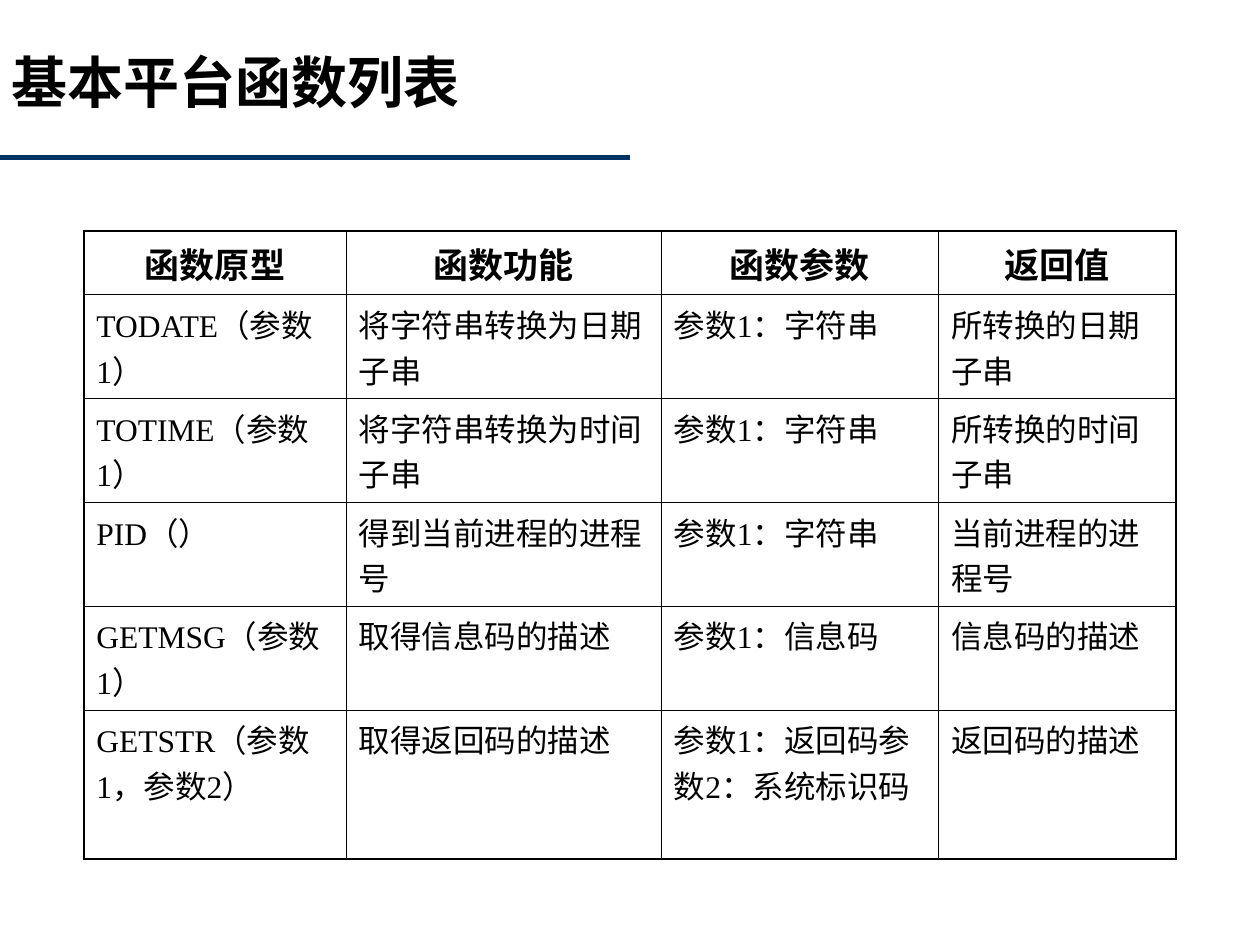
from lxml import etree
from pptx import Presentation
from pptx.dml.color import RGBColor
from pptx.enum.shapes import MSO_CONNECTOR
from pptx.enum.text import MSO_ANCHOR, MSO_AUTO_SIZE, PP_ALIGN
from pptx.oxml.ns import qn
from pptx.util import Cm, Pt

COLORS = {"text": "000000", "rule": "003366", "border": "000000"}
CJK_FONT = "Noto Sans CJK SC"
THIN, THICK = Pt(0.45), Pt(1.08)


def style_paragraph(paragraph, latin, size, bold, align):
    paragraph.alignment = align
    font = paragraph.font
    font.name, font.size, font.bold = latin, Pt(size), bold
    font.color.rgb = RGBColor.from_string(COLORS["text"])
    defaults = paragraph._p.get_or_add_pPr().find(qn("a:defRPr"))
    etree.SubElement(defaults, qn("a:ea"), typeface=CJK_FONT)


def add_border(cell, side, width):
    line = etree.SubElement(cell._tc.get_or_add_tcPr(), qn(f"a:ln{side}"), w=str(int(width)))
    fill = etree.SubElement(line, qn("a:solidFill"))
    etree.SubElement(fill, qn("a:srgbClr"), val=COLORS["border"])


prs = Presentation()
prs.slide_width, prs.slide_height = Cm(25.4), Cm(19.05)
slide = prs.slides.add_slide(prs.slide_layouts[5])

title = slide.shapes.title
title.left, title.top, title.width, title.height = Cm(-1.27), Cm(0.84), Cm(20.52), Cm(3.18)
title.text_frame.text = "基本平台函数列表"
title.text_frame.auto_size = MSO_AUTO_SIZE.NONE
title.text_frame.vertical_anchor = MSO_ANCHOR.TOP
heading = title.text_frame.paragraphs[0]
heading._p.get_or_add_pPr().set("marL", str(int(Cm(1.24))))
style_paragraph(heading, CJK_FONT, 32, True, PP_ALIGN.LEFT)

rule = slide.shapes.add_connector(MSO_CONNECTOR.STRAIGHT, 0, Cm(3.18), Cm(12.7), Cm(3.18))
rule.line.color.rgb = RGBColor.from_string(COLORS["rule"])
rule.line.width = Pt(3)
etree.SubElement(rule._element.spPr, qn("a:effectLst"))

functions = [
    ["函数原型", "函数功能", "函数参数", "返回值"],
    ["TODATE（参数1）", "将字符串转换为日期子串", "参数1：字符串", "所转换的日期子串"],
    ["TOTIME（参数1）", "将字符串转换为时间子串", "参数1：字符串", "所转换的时间子串"],
    ["PID（）", "得到当前进程的进程号", "参数1：字符串", "当前进程的进程号"],
    ["GETMSG（参数1）", "取得信息码的描述", "参数1：信息码", "信息码的描述"],
    ["GETSTR（参数1，参数2）", "取得返回码的描述", "参数1：返回码参数2：系统标识码", "返回码的描述"],
]
column_widths = [5.29, 6.35, 5.59, 4.78]
row_heights = [1.27] + [2.01] * 5
last_row, last_col = len(row_heights) - 1, len(column_widths) - 1

function_table = slide.shapes.add_table(
    len(row_heights), len(column_widths), Cm(1.69), Cm(4.66),
    Cm(sum(column_widths)), Cm(sum(row_heights))).table
function_table.first_row = function_table.horz_banding = False
for column, width in zip(function_table.columns, column_widths):
    column.width = Cm(width)
for row, height in zip(function_table.rows, row_heights):
    row.height = Cm(height)

for r, entries in enumerate(functions):
    for c, entry in enumerate(entries):
        cell = function_table.cell(r, c)
        cell.text = entry
        is_header = r == 0
        style_paragraph(cell.text_frame.paragraphs[0], "Times New Roman",
                        20 if is_header else 18, is_header,
                        PP_ALIGN.CENTER if is_header else PP_ALIGN.LEFT)
        outer_sides = {"L": c == 0, "R": c == last_col, "T": r == 0, "B": r == last_row}
        for side, is_outer in outer_sides.items():
            add_border(cell, side, THICK if is_outer else THIN)
        cell.fill.background()

prs.save("out.pptx")
